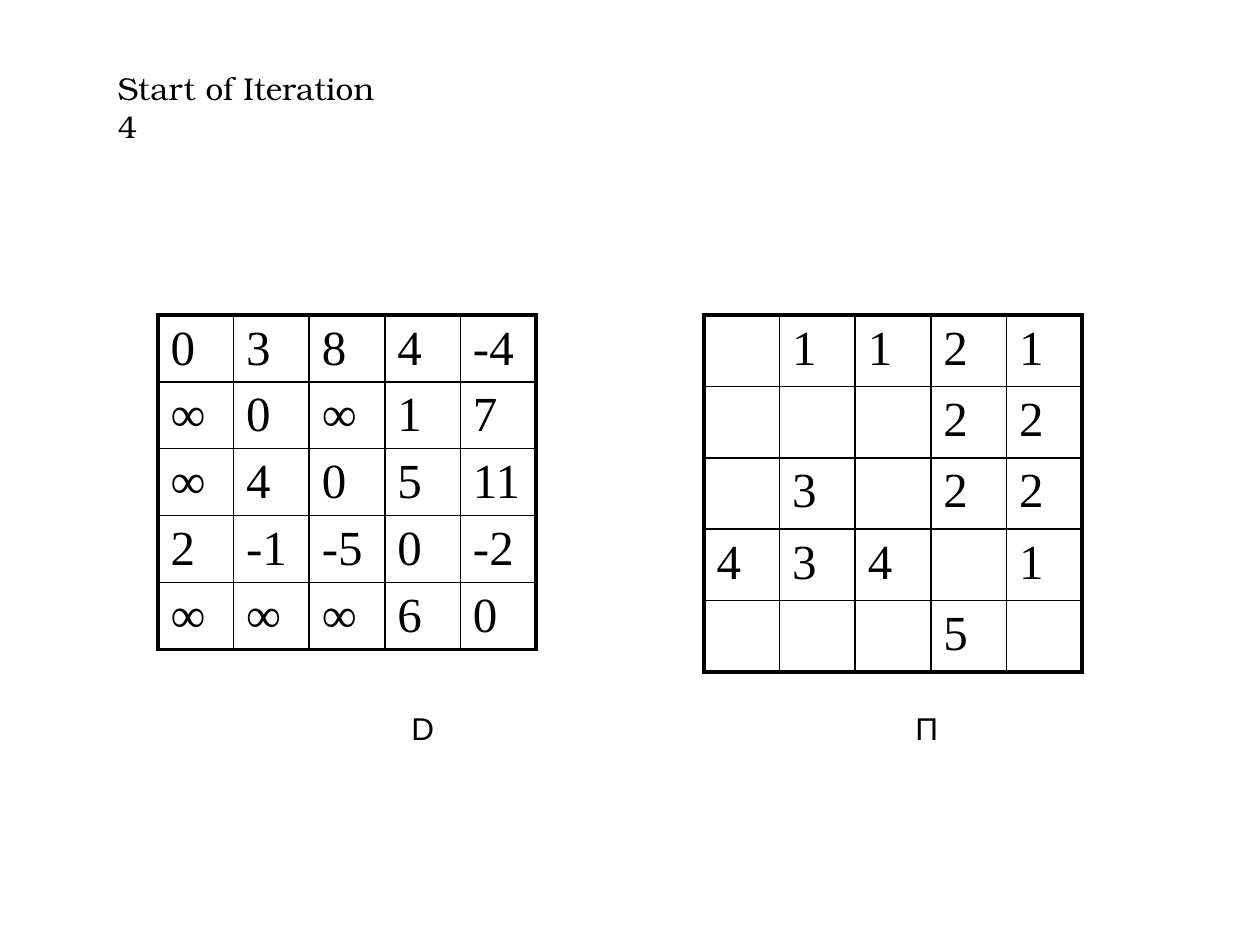
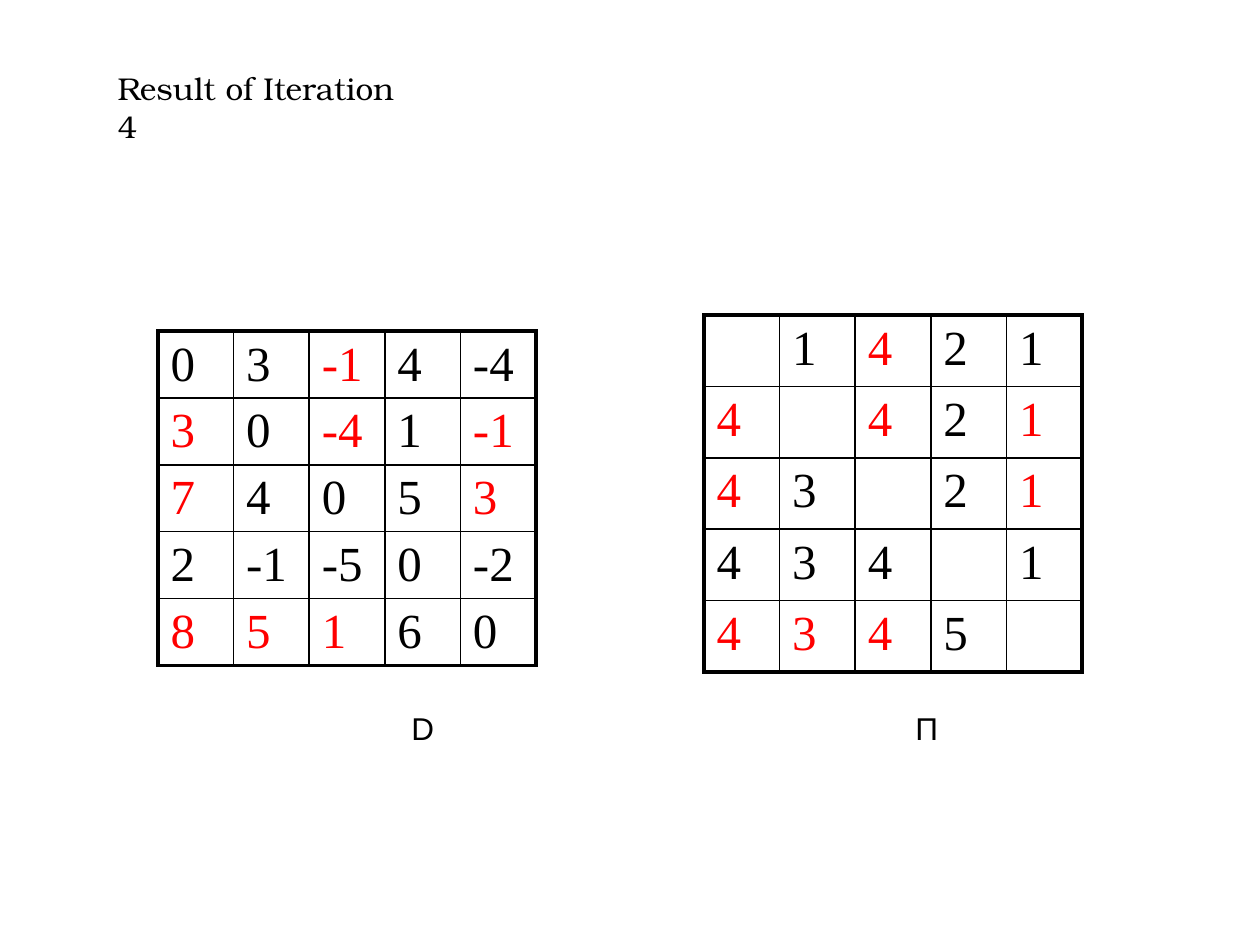
from dataclasses import dataclass

from lxml import etree
from pptx import Presentation
from pptx.dml.color import RGBColor
from pptx.enum.text import MSO_ANCHOR, MSO_AUTO_SIZE, PP_ALIGN
from pptx.oxml.ns import qn
from pptx.util import Pt

LEFT = PP_ALIGN.LEFT
TOP = MSO_ANCHOR.TOP
FIXED = MSO_AUTO_SIZE.NONE
SCALE = 914400 / 126


@dataclass(frozen=True)
class Theme:
    ink: str = "000000"
    fresh: str = "FF0000"
    title: tuple = ("TeX Gyre Bonum", 18)
    label: tuple = ("Arial", 18)
    value: tuple = ("Times New Roman", 28)
    frame: float = 2.25
    rule: float = 1


def emu(px):
    return round(px * SCALE)


def grid(text):
    return [["" if value == "." else value for value in line.split()]
            for line in text.strip().splitlines()]


class Deck:
    def __init__(self, theme):
        self.theme = theme
        self.file = Presentation()
        self.file.slide_width, self.file.slide_height = emu(1260), emu(945)
        self.slide = None

    def style(self, para, face, color):
        para.alignment = LEFT
        para.font.name, size = face
        para.font.size = Pt(size)
        para.font.color.rgb = RGBColor.from_string(color)

    def letter(self, shape, text, face):
        frame = shape.text_frame
        frame.text = text
        frame.word_wrap = True
        frame.auto_size = FIXED
        frame.vertical_anchor = TOP
        para = frame.paragraphs[0]
        self.style(para, face, self.theme.ink)
        return para

    def title(self, text, width):
        self.slide = self.file.slides.add_slide(self.file.slide_layouts[5])
        shape = self.slide.shapes.title
        shape.left, shape.top = emu(105), emu(63)
        shape.width, shape.height = emu(width), emu(50)
        self.letter(shape, text, self.theme.title)

    def labels(self, names, stops):
        box = self.slide.shapes.add_textbox(emu(273), emu(703), emu(712), emu(50))
        para = self.letter(box, "".join("\t" + name for name in names), self.theme.label)
        tabs = etree.Element(qn("a:tabLst"))
        for stop in stops:
            etree.SubElement(tabs, qn("a:tab"), pos=str(emu(stop)), algn="l")
        para._p.get_or_add_pPr().insert(0, tabs)

    def border(self, cell, side, width):
        line = etree.SubElement(cell._tc.get_or_add_tcPr(), qn("a:ln" + side),
                                w=str(Pt(width)))
        fill = etree.SubElement(line, qn("a:solidFill"))
        etree.SubElement(fill, qn("a:srgbClr"), val=self.theme.ink)

    def matrix(self, left, top, height, rows, prior):
        count = len(rows)
        width = 378
        table = self.slide.shapes.add_table(
            count, count, emu(left), emu(top), emu(width), emu(height)).table
        table.first_row = table.horz_banding = False
        for i in range(count):
            table.columns[i].width = emu(width / count)
            table.rows[i].height = emu(height / count)
        last = count - 1
        for i, row in enumerate(rows):
            for j, value in enumerate(row):
                cell = table.cell(i, j)
                edges = {"L": j == 0, "R": j == last, "T": i == 0, "B": i == last}
                for side, outer in edges.items():
                    self.border(cell, side, self.theme.frame if outer else self.theme.rule)
                cell.fill.background()
                if value:
                    cell.text = value
                    color = self.theme.ink if value == prior[i][j] else self.theme.fresh
                    self.style(cell.text_frame.paragraphs[0], self.theme.value, color)


COST = grid("""
0 3 8 4 -4
∞ 0 ∞ 1 7
∞ 4 0 5 11
2 -1 -5 0 -2
∞ ∞ ∞ 6 0
""")
PRED = grid("""
. 1 1 2 1
. . . 2 2
. 3 . 2 2
4 3 4 . 1
. . . 5 .
""")
NEWCOST = grid("""
0 3 -1 4 -4
3 0 -4 1 -1
7 4 0 5 3
2 -1 -5 0 -2
8 5 1 6 0
""")
NEWPRED = grid("""
. 1 4 2 1
4 . 4 2 1
4 3 . 2 1
4 3 4 . 1
4 3 4 5 .
""")


def main():
    deck = Deck(Theme())
    steps = (
        ("Start of Iteration 4", 284, 315, COST, PRED),
        ("Result of Iteration 4", 305, 331, NEWCOST, NEWPRED),
    )
    for title, width, top, cost, pred in steps:
        deck.title(title, width)
        deck.matrix(158, top, 334, cost, COST)
        deck.labels("DΠ", (126, 630))
        deck.matrix(704, 315, 357, pred, PRED)
    deck.file.save("out.pptx")


if __name__ == "__main__":
    main()
